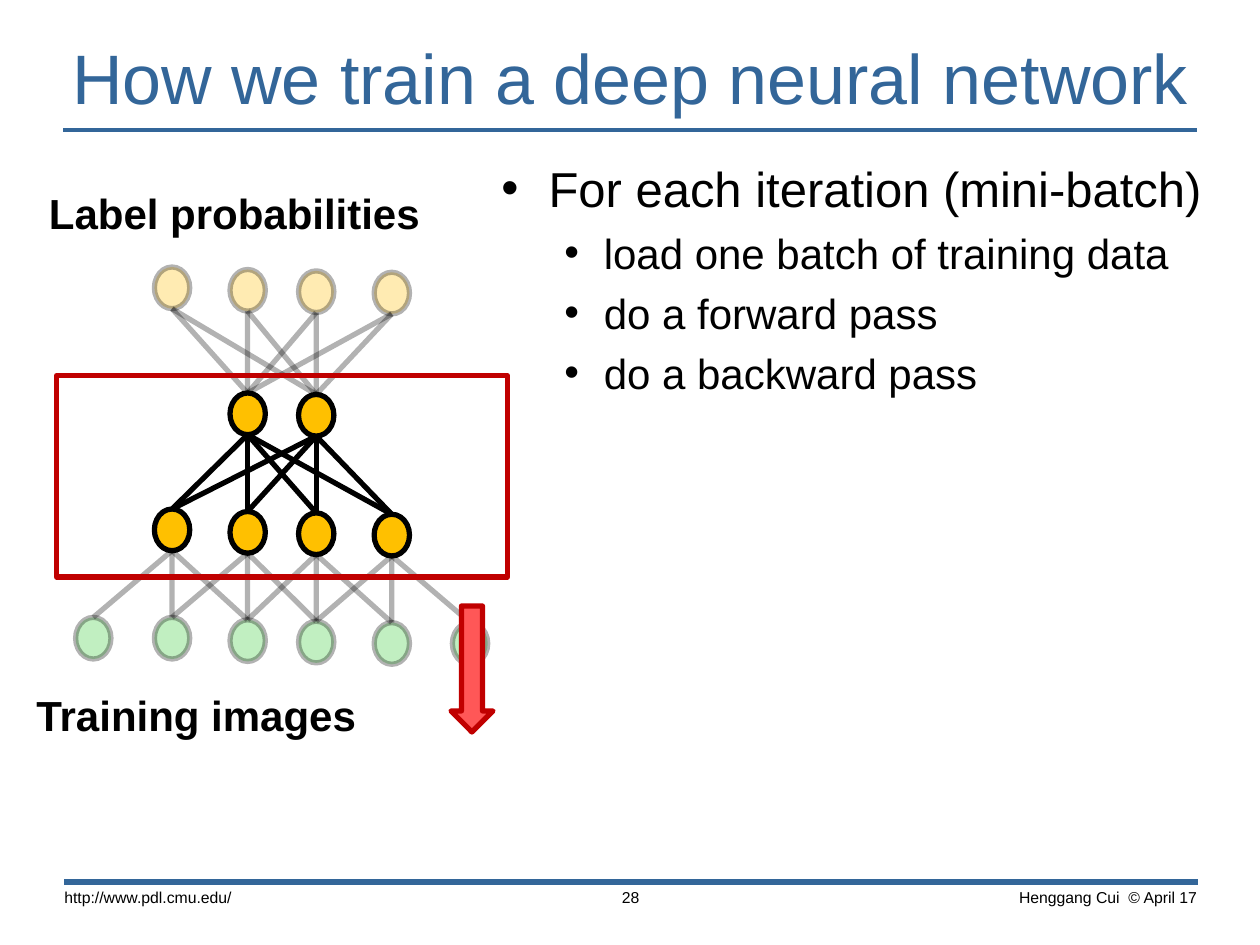
from lxml import etree
from pptx import Presentation
from pptx.dml.color import RGBColor
from pptx.enum.shapes import MSO_CONNECTOR, MSO_SHAPE
from pptx.enum.text import MSO_ANCHOR, PP_ALIGN
from pptx.oxml.ns import qn
from pptx.util import Pt

STRAIGHT = MSO_CONNECTOR.STRAIGHT
OVAL, RECTANGLE, DOWN_ARROW = MSO_SHAPE.OVAL, MSO_SHAPE.RECTANGLE, MSO_SHAPE.DOWN_ARROW
LEFT, CENTER, RIGHT = PP_ALIGN.LEFT, PP_ALIGN.CENTER, PP_ALIGN.RIGHT
TOP, MIDDLE = MSO_ANCHOR.TOP, MSO_ANCHOR.MIDDLE

BLACK = RGBColor(0x00, 0x00, 0x00)
BLUE = RGBColor(0x33, 0x66, 0x99)
GREEN = RGBColor(0x33, 0xCC, 0x33)
AMBER = RGBColor(0xFF, 0xC0, 0x00)
DARK_RED = RGBColor(0xC0, 0x00, 0x00)
LIGHT_RED = RGBColor(0xFF, 0x57, 0x57)

FADED = 30
NODE_WIDTH, NODE_HEIGHT = 20.2, 23.8
COLUMN_CENTERS = [10.1, 55.1, 98.3, 137.5, 180.7, 225.4]
COLUMN_DROPS = [0, 0, 1.4, 2.2, 3, 3]


def set_opacity(solid_fill, percent):
    """Make a solid fill element partly transparent."""
    etree.SubElement(solid_fill[0], qn("a:alpha"), val=str(percent * 1000))


def style_shape(shape, fill, line, opacity=100):
    """Give a shape its fill and 3 pt outline, both at one opacity."""
    shape.shadow.inherit = False
    if fill is None:
        shape.fill.background()
    else:
        shape.fill.solid()
        shape.fill.fore_color.rgb = fill
    shape.line.color.rgb = line
    shape.line.width = Pt(3)
    if opacity < 100:
        for solid_fill in list(shape.element.spPr.iter(qn("a:solidFill"))):
            set_opacity(solid_fill, opacity)


def add_line(slide, start, end, color, width, opacity=100):
    """Draw a straight line between two points."""
    line = slide.shapes.add_connector(STRAIGHT, *map(Pt, (*start, *end)))
    line.line.color.rgb = color
    line.line.width = Pt(width)
    properties = line.element.spPr
    if opacity < 100:
        set_opacity(next(properties.iter(qn("a:solidFill"))), opacity)
    etree.SubElement(properties, qn("a:effectLst"))


def add_frame(slide, box, anchor=TOP, margins=(7.2, 3.6)):
    """Add an empty wrapping text box and return its text frame."""
    frame = slide.shapes.add_textbox(*map(Pt, box)).text_frame
    frame.word_wrap = True
    frame.vertical_anchor = anchor
    frame.margin_left = frame.margin_right = Pt(margins[0])
    frame.margin_top = frame.margin_bottom = Pt(margins[1])
    return frame


def write(paragraph, text, size, color=BLACK, alignment=LEFT, bold=False):
    """Fill a paragraph with uniformly styled text."""
    paragraph.text = text
    paragraph.alignment = alignment
    font = paragraph.font
    font.name, font.size, font.bold = "Arial", Pt(size), bold
    font.color.rgb = color


def add_title(slide, box):
    """Place the slide title with the rule beneath it."""
    left, top, width, height = box
    frame = add_frame(slide, box, MIDDLE)
    write(frame.paragraphs[0], "How we train a deep neural network", 40, BLUE, CENTER)
    rule_top = top + height + 3.6
    add_line(slide, (left + 36, rule_top), (left + width - 36, rule_top), BLUE, 2)


def add_steps(slide, box):
    """Place the bulleted training steps."""
    steps = [
        (0, "For each iteration (mini-batch)"),
        (1, "load one batch of training data"),
        (1, "do a forward pass"),
        (1, "do a backward pass"),
    ]
    level_styles = [(28, 27, -27), (24, 58.5, -22.5)]
    frame = add_frame(slide, box)
    for index, (level, text) in enumerate(steps):
        paragraph = frame.add_paragraph() if index else frame.paragraphs[0]
        size, margin, indent = level_styles[level]
        paragraph.level = level
        properties = paragraph._p.get_or_add_pPr()
        properties.set("marL", str(Pt(margin)))
        properties.set("indent", str(Pt(indent)))
        etree.SubElement(properties, qn("a:buFont"), typeface="Arial")
        etree.SubElement(properties, qn("a:buChar"), char="•")
        if index:
            paragraph.space_before = Pt(5.5)
        write(paragraph, text, size)


def add_layer(slide, box, columns, layer_top, fill, opacity=100):
    """Place one layer of nodes and return each node's centre and top by column."""
    left, top = box[:2]
    nodes = {}
    for column in columns:
        center = left + COLUMN_CENTERS[column]
        node_top = top + layer_top + COLUMN_DROPS[column]
        bounds = (center - NODE_WIDTH / 2, node_top, NODE_WIDTH, NODE_HEIGHT)
        node = slide.shapes.add_shape(OVAL, *map(Pt, bounds))
        style_shape(node, fill, BLACK, opacity)
        nodes[column] = (center, node_top)
    return nodes


def link_layers(slide, lower, upper, reach, opacity=100):
    """Join lower node tops to upper node bottoms within a column distance."""
    for upper_column, (center, node_top) in upper.items():
        for lower_column, start in lower.items():
            if abs(upper_column - lower_column) <= reach:
                end = (center, node_top + NODE_HEIGHT)
                add_line(slide, start, end, BLACK, 3, opacity)


def add_network(slide, box):
    """Draw the network, its captions, the active-layer frame and the pass arrow."""
    left, top, width, height = box
    middle = range(1, 5)
    inputs = add_layer(slide, box, range(6), 200.2, GREEN, FADED)
    first_hidden = add_layer(slide, box, middle, 138.3, AMBER)
    link_layers(slide, inputs, first_hidden, 1, FADED)
    second_hidden = add_layer(slide, box, (2, 3), 70.6, AMBER)
    link_layers(slide, first_hidden, second_hidden, 5)
    outputs = add_layer(slide, box, middle, 0, AMBER, FADED)
    link_layers(slide, second_hidden, outputs, 5, FADED)

    bounds = (left - 10.8, top + 62, width + 22, 115.2)
    active = slide.shapes.add_shape(RECTANGLE, *map(Pt, bounds))
    style_shape(active, None, DARK_RED)
    captions = [
        ("Label probabilities", left - 22.3, top - 48.9),
        ("Training images", left - 29.5, top + height + 10.7),
    ]
    for text, caption_left, caption_top in captions:
        frame = add_frame(slide, (caption_left, caption_top, 246, 36))
        write(frame.paragraphs[0], text, 24, bold=True)
    bounds = (left + width - 21, top + 193.7, 24, 72)
    arrow = slide.shapes.add_shape(DOWN_ARROW, *map(Pt, bounds))
    style_shape(arrow, LIGHT_RED, DARK_RED)


def add_footer(slide, box):
    """Place the footer rule, address, page number and copyright line."""
    left, top, width, height = box
    add_line(slide, (left + 8, top + 0.7), (left + width - 7.2, top + 0.7), BLUE, 3.5)
    entries = [
        ("http://www.pdl.cmu.edu/", left, 180, LEFT),
        ("28", left + 261.4, 140.4, CENTER),
        ("Henggang Cui  © April 17", left + width - 183, 183, RIGHT),
    ]
    for text, entry_left, entry_width, alignment in entries:
        frame = add_frame(slide, (entry_left, top, entry_width, height), margins=(8, 4))
        write(frame.paragraphs[0], text, 9, alignment=alignment)


def main():
    """Build the slide and save it."""
    presentation = Presentation()
    presentation.slide_width, presentation.slide_height = Pt(720), Pt(540)
    slide = presentation.slides.add_slide(presentation.slide_layouts[6])
    add_title(slide, (0, 16.6, 720, 54))
    add_steps(slide, (279.4, 87.1, 440.6, 365.8))
    add_footer(slide, (28.8, 503.3, 663.2, 30))
    add_network(slide, (43.2, 152.6, 235.5, 227))
    presentation.save("out.pptx")


if __name__ == "__main__":
    main()
